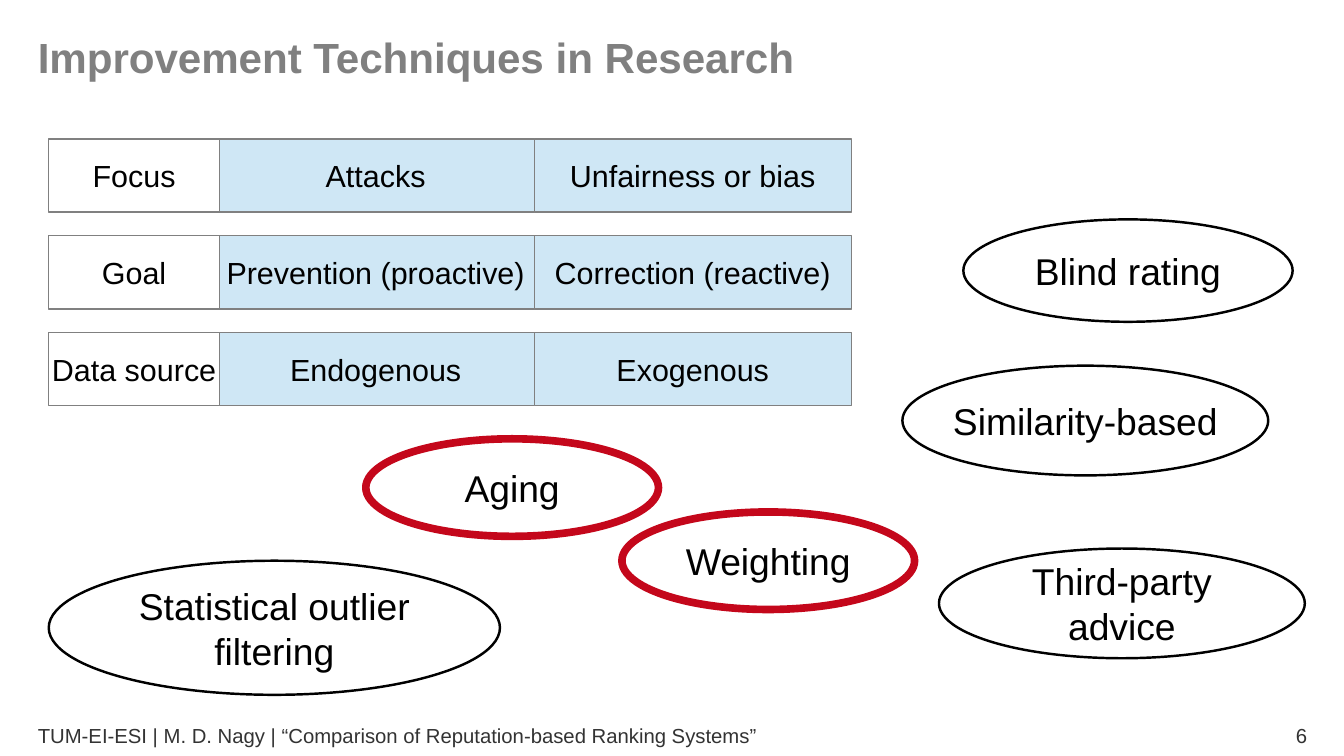
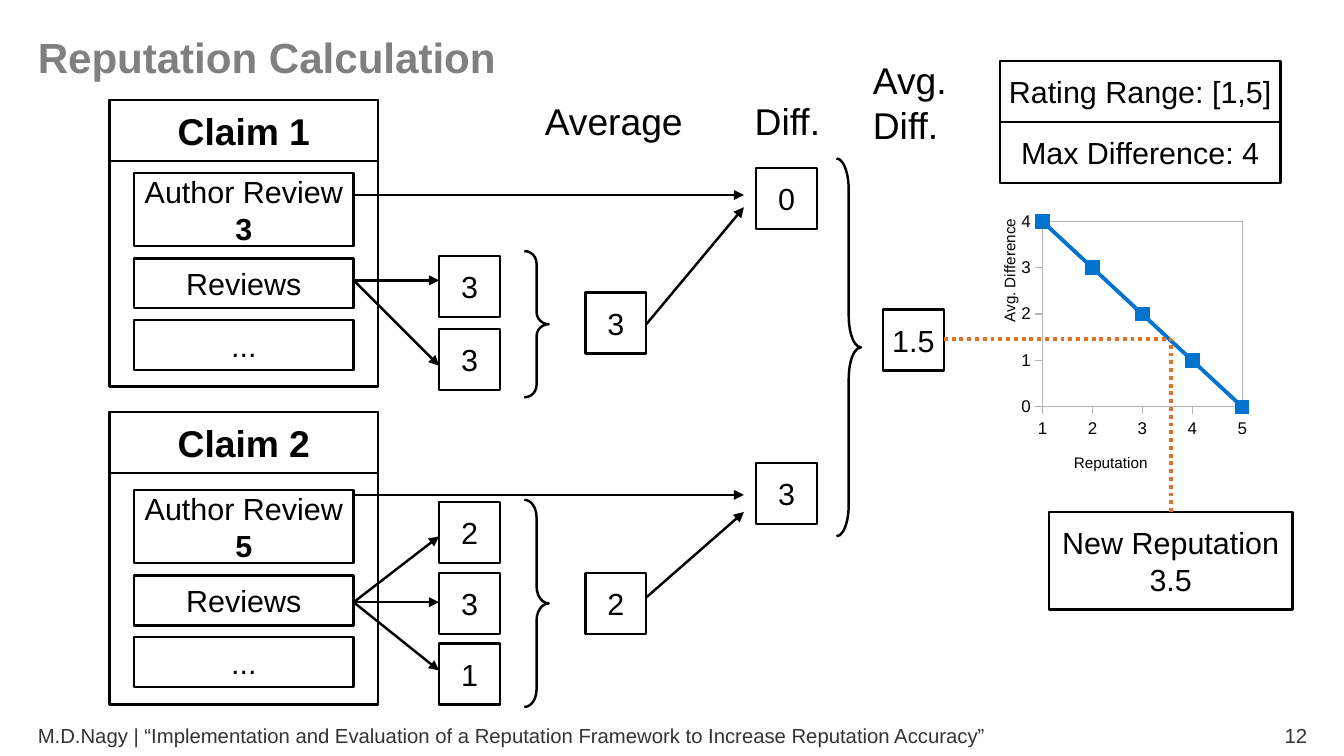
"""Build two slides on reputation systems."""
from lxml import etree
from pptx import Presentation
from pptx.chart.data import CategoryChartData
from pptx.dml.color import RGBColor
from pptx.enum.chart import XL_CHART_TYPE, XL_MARKER_STYLE, XL_TICK_MARK
from pptx.enum.dml import MSO_LINE
from pptx.enum.shapes import MSO_CONNECTOR, MSO_SHAPE
from pptx.enum.text import MSO_ANCHOR, PP_ALIGN
from pptx.oxml.ns import qn
from pptx.util import Pt

BLACK = RGBColor(0x00, 0x00, 0x00)
WHITE = RGBColor(0xFF, 0xFF, 0xFF)
GRAY = RGBColor(0x80, 0x80, 0x80)
DARK = RGBColor(0x33, 0x33, 0x33)
SILVER = RGBColor(0xB3, 0xB3, 0xB3)
PALE = RGBColor(0xCF, 0xE7, 0xF5)
RED = RGBColor(0xC4, 0x07, 0x1B)
BLUE = RGBColor(0x00, 0x73, 0xCF)
ORANGE = RGBColor(0xE3, 0x72, 0x22)
RECT, OVAL, BRACE = MSO_SHAPE.RECTANGLE, MSO_SHAPE.OVAL, MSO_SHAPE.RIGHT_BRACE
STRAIGHT, DOTS = MSO_CONNECTOR.STRAIGHT, MSO_LINE.ROUND_DOT
LEFT, CENTER, RIGHT = PP_ALIGN.LEFT, PP_ALIGN.CENTER, PP_ALIGN.RIGHT
TOP, MIDDLE = MSO_ANCHOR.TOP, MSO_ANCHOR.MIDDLE
MARKED, SQUARE = XL_CHART_TYPE.LINE_MARKERS, XL_MARKER_STYLE.SQUARE
OUT = XL_TICK_MARK.OUTSIDE
FONT = "Arial"
THIN = 1.45
SIDE = 36


def style(font, size, color=BLACK, bold=False):
    font.name, font.size, font.bold = FONT, Pt(size), bold
    font.color.rgb = color


def write(frame, text, size, color=BLACK, bold=False, align=CENTER):
    frame.text = text
    for para in frame.paragraphs:
        para.alignment = align
        style(para.font, size, color, bold)


def label(slide, text, spot, size, color=BLACK, bold=False, align=LEFT, flush=True):
    frame = slide.shapes.add_textbox(*map(Pt, spot)).text_frame
    frame.word_wrap = True
    frame.vertical_anchor = MIDDLE if flush else TOP
    if flush:
        frame.margin_left = frame.margin_right = 0
        frame.margin_top = frame.margin_bottom = 0
    write(frame, text, size, color, bold, align)


def box(slide, text, spot, size=18, kind=RECT, fill=WHITE, line=BLACK, width=THIN, bold=False):
    shape = slide.shapes.add_shape(kind, *map(Pt, spot))
    shape.shadow.inherit = False
    shape.fill.solid()
    shape.fill.fore_color.rgb = fill
    shape.line.color.rgb = line
    shape.line.width = Pt(width)
    frame = shape.text_frame
    frame.word_wrap = False
    frame.vertical_anchor = MIDDLE
    if text:
        write(frame, text, size, bold=bold)
    return shape


def brace(slide, left, top, high):
    wide = 14.4
    shape = slide.shapes.add_shape(BRACE, Pt(left), Pt(top), Pt(wide), Pt(high))
    shape.adjustments[0] = high / 12 / wide
    shape.shadow.inherit = False
    shape.fill.background()
    shape.line.color.rgb = BLACK
    shape.line.width = Pt(THIN)


def link(slide, start, end, color=BLACK, width=THIN, arrow=True):
    wire = slide.shapes.add_connector(STRAIGHT, *map(Pt, start + end))
    wire.line.color.rgb = color
    wire.line.width = Pt(width)
    if arrow:
        tip = etree.SubElement(wire.line._get_or_add_ln(), qn("a:tailEnd"))
        tip.set("type", "triangle")
    else:
        wire.line.dash_style = DOTS
    etree.SubElement(wire.element.spPr, qn("a:effectLst"))


def place(part, **sides):
    layout = part.find(qn("c:layout"))
    if layout is None:
        layout = etree.Element(qn("c:layout"))
        part.insert(0, layout)
    manual = etree.SubElement(layout, qn("c:manualLayout"))
    if "w" in sides:
        etree.SubElement(manual, qn("c:layoutTarget")).set("val", "inner")
    for side in "xy":
        etree.SubElement(manual, qn(f"c:{side}Mode")).set("val", "edge")
    for side, share in sides.items():
        etree.SubElement(manual, qn(f"c:{side}")).set("val", str(share))


def frame_plot(plot):
    props = etree.SubElement(plot, qn("c:spPr"))
    etree.SubElement(props, qn("a:noFill"))
    edge = etree.SubElement(props, qn("a:ln"), w="0")
    fill = etree.SubElement(edge, qn("a:solidFill"))
    etree.SubElement(fill, qn("a:srgbClr"), val=str(SILVER))


def set_axis(axis, title):
    axis.has_major_gridlines = False
    axis.major_tick_mark = OUT
    axis.format.line.color.rgb = SILVER
    axis.format.line.width = Pt(0)
    style(axis.tick_labels.font, 10)
    write(axis.axis_title.text_frame, title, 9)


def graph(slide):
    data = CategoryChartData()
    data.categories = ["1", "2", "3", "4", "5"]
    data.add_series("Series 1", (4, 3, 2, 1, 0))
    spot = map(Pt, (571.7, 122.4, 168.5, 168.5))
    chart = slide.shapes.add_chart(MARKED, *spot, data).chart
    chart.has_legend = chart.has_title = False
    style(chart.font, 10)
    set_axis(chart.category_axis, "Reputation")
    scale = chart.value_axis
    set_axis(scale, "Avg. Difference")
    scale.minimum_scale, scale.maximum_scale, scale.major_unit = 0, 4, 1
    chart.plots[0].vary_by_categories = False
    series = chart.plots[0].series[0]
    series.smooth = False
    series.format.line.color.rgb = BLUE
    series.format.line.width = Pt(2.27)
    mark = series.marker
    mark.style, mark.size = SQUARE, 8
    mark.format.fill.solid()
    mark.format.fill.fore_color.rgb = BLUE
    mark.format.line.color.rgb = BLUE

    plot = chart.element.find(".//" + qn("c:plotArea"))
    place(plot, x=0.26, y=0.05, w=0.7, h=0.65)
    frame_plot(plot)
    across, up = plot.find(qn("c:catAx")), plot.find(qn("c:valAx"))
    place(across.find(qn("c:title")), x=0.36, y=0.85)
    place(up.find(qn("c:title")), x=0.1, y=0.03)
    turn = up.find(qn("c:title")).find(".//" + qn("a:bodyPr"))
    turn.set("rot", "-5400000")
    turn.set("vert", "horz")
    for old in up.findall(qn("c:crossBetween")):
        up.remove(old)
    cross = etree.Element(qn("c:crossBetween"), val="midCat")
    up.find(qn("c:crosses")).addnext(cross)


def page(deck, title, foot, number):
    slide = deck.slides.add_slide(deck.slide_layouts[6])
    label(slide, title, (22.3, 19.4, 683.3, 28.1), 24.9, GRAY, True)
    label(slide, foot, (22.3, 422.6, 562.3, 23.8), 12, DARK)
    label(slide, number, (594, 422.6, 177.8, 23.8), 12, DARK, align=RIGHT)
    return slide


def claim(slide, top, high, gap, name, rate):
    box(slide, "", (64.8, top, 158.4, high))
    box(slide, name, (64.8, top, 158.4, SIDE), 22, bold=True)
    top += gap
    card = box(slide, f"Author Review\n{rate}", (79.2, top, 129.6, 43.2))
    card.text_frame.paragraphs[1].font.bold = True
    for text, drop in (("Reviews", 50.4), ("...", 86.8)):
        box(slide, text, (79.2, top + drop, 129.6, 29.5))


def methods(deck):
    slide = page(
        deck, "Improvement Techniques in Research",
        "TUM-EI-ESI | M. D. Nagy | “Comparison of Reputation-based Ranking Systems”", "6")
    rows = (
        ("Focus", "Attacks", "Unfairness or bias"),
        ("Goal", "Prevention (proactive)", "Correction (reactive)"),
        ("Data source", "Endogenous", "Exogenous"),
    )
    for row, (head, *cells) in enumerate(rows):
        top = 82.1 + 57.2 * row
        for col, text in enumerate(cells):
            spot = (128.2 + 187.2 * col, top, 187.2, 43.2)
            box(slide, text, spot, fill=PALE, line=GRAY, width=0)
        box(slide, head, (28.8, top, 100.8, 43.2), line=GRAY, width=0)
    for text, *spot in (
        ("Statistical outlier\nfiltering", 28.8, 331.2, 266.4, 79.2),
        ("Similarity-based", 532.8, 216, 216, 64.8),
        ("Blind rating", 568.8, 129.6, 194.4, 60.5),
        ("Third-party\nadvice", 554.4, 324, 216, 64.8),
    ):
        box(slide, text, spot, 22, OVAL)
    for text, left, top in (("Weighting", 367.2, 302.4), ("Aging", 216, 259.2)):
        box(slide, text, (left, top, 172.8, 57.6), 22, OVAL, line=RED, width=4.5)


def scores(deck):
    slide = page(
        deck, "Reputation Calculation",
        "M.D.Nagy | “Implementation and Evaluation of a Reputation Framework"
        " to Increase Reputation Accuracy”", "12")
    claim(slide, 59, 169.2, 43.2, "Claim 1", "3")
    claim(slide, 243.4, 172.8, 46.1, "Claim 2", "5")
    for text, left, top in (
        ("3", 259.2, 151.2), ("3", 259.2, 194.4),
        ("2", 259.2, 296.6), ("3", 259.2, 338.4), ("1", 259.2, 380.2),
        ("3", 345.6, 172.8), ("2", 345.6, 338.4),
        ("0", 446.4, 99.4), ("3", 446.4, 273.6), ("1.5", 521.3, 182.9),
    ):
        box(slide, text, (left, top, SIDE, SIDE))
    for left, top, high in (
        (309.6, 148.3, 86.4), (309.6, 295.2, 122.4), (493.9, 93.6, 223.2),
    ):
        brace(slide, left, top, high)
    box(slide, "Max Difference: 4", (590.4, 72, 165.6, SIDE))
    box(slide, "Rating Range: [1,5]", (590.4, 36, 165.6, SIDE))
    box(slide, "New Reputation\n3.5", (619.2, 302.4, 144, 57.6))
    graph(slide)
    bend = (691.2, 200.2)
    for start in ((557.3, 200.2), (691.2, 302.4)):
        link(slide, start, bend, ORANGE, 2.3, False)
    for left, top, right, ends in (
        (208.8, 115.2, 439.2, (115.2,)),
        (208.8, 292.3, 439.2, (292.3,)),
        (208.8, 165.6, 259.2, (165.6, 216)),
        (208.8, 355.7, 259.2, (316.8, 355.7, 396)),
        (381.6, 191.5, 439.2, (122.4,)),
        (381.6, 352.8, 439.2, (302.4,)),
    ):
        for end in ends:
            link(slide, (left, top), (right, end))
    for text, *spot in (
        ("Average", 314.6, 54.7, 104, 31.7),
        ("Diff.", 438.5, 54.7, 60, 31.7),
        ("Avg.\nDiff.", 508.3, 30.2, 64.8, 80.6),
    ):
        label(slide, text, spot, 22, flush=False)


def main():
    deck = Presentation()
    deck.slide_width, deck.slide_height = Pt(793.5), Pt(446.5)
    methods(deck)
    scores(deck)
    deck.save("out.pptx")


if __name__ == "__main__":
    main()
